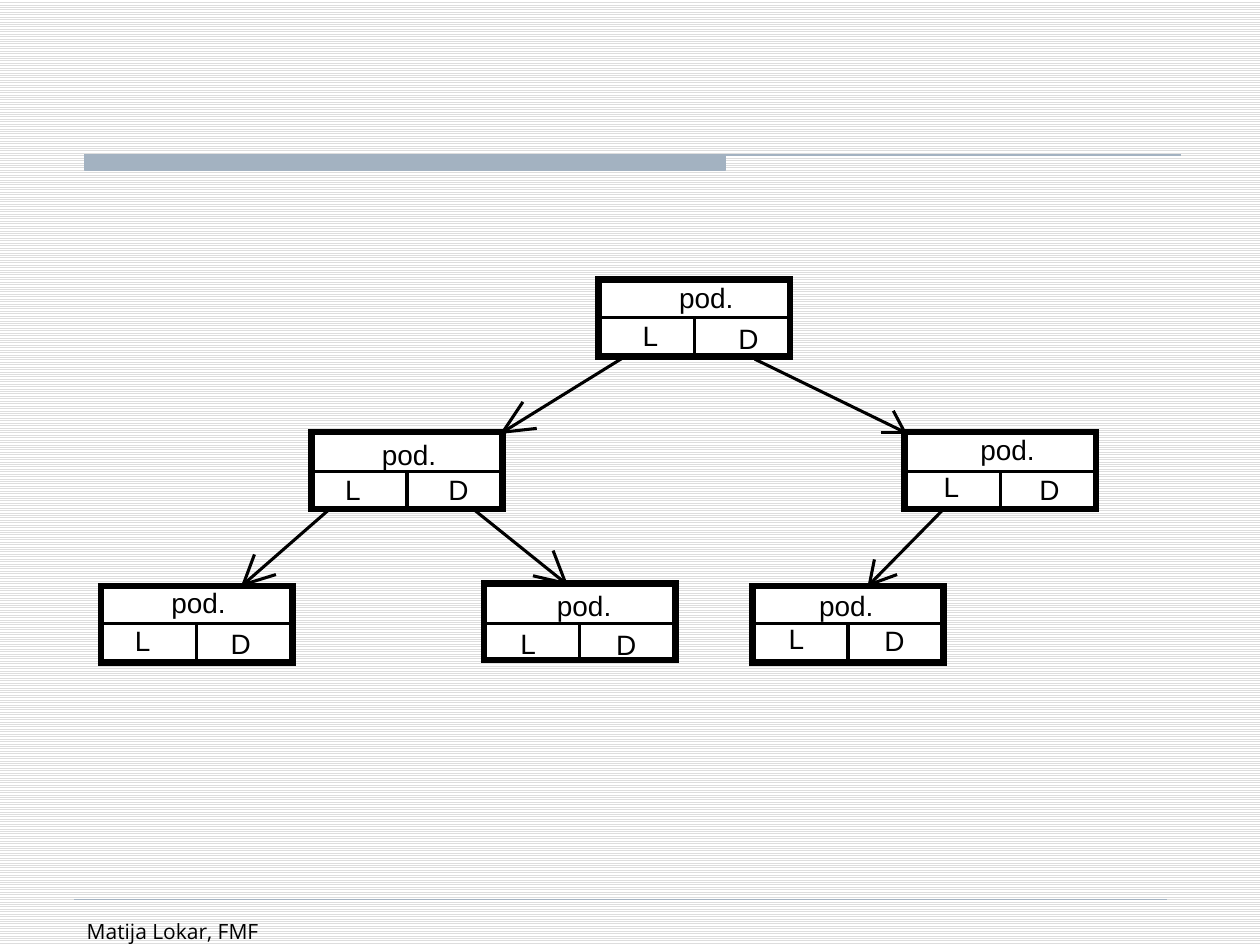
"""Build a slide with a binary tree of linked nodes."""
from lxml import etree
from pptx import Presentation
from pptx.dml.color import RGBColor
from pptx.enum.dml import MSO_PATTERN
from pptx.enum.shapes import MSO_CONNECTOR, MSO_SHAPE
from pptx.enum.text import MSO_AUTO_SIZE
from pptx.util import Inches, Pt

STRAIGHT = MSO_CONNECTOR.STRAIGHT
RECTANGLE = MSO_SHAPE.RECTANGLE
LIGHT_HORIZONTAL = MSO_PATTERN.LIGHT_HORIZONTAL
FIT_TEXT = MSO_AUTO_SIZE.SHAPE_TO_FIT_TEXT
DRAWING = "http://schemas.openxmlformats.org/drawingml/2006/main"
BLACK, WHITE, ACCENT = "000000", "FFFFFF", "A3B2C1"
NODE_WIDTH, NODE_HEIGHT = 1.52, 0.61

deck = Presentation()
deck.slide_width, deck.slide_height = Inches(10), Inches(7.5)
page = deck.slides.add_slide(deck.slide_layouts[6])
background = page.background.fill
background.patterned()
background.pattern = LIGHT_HORIZONTAL
background.fore_color.rgb = RGBColor.from_string("DDDDDD")
background.back_color.rgb = RGBColor.from_string(WHITE)


def add_line(start, end, color=BLACK, width=1.75):
    line = page.shapes.add_connector(STRAIGHT, *map(Inches, start + end))
    line.line.color.rgb = RGBColor.from_string(color)
    line.line.width = Pt(width)
    etree.SubElement(line._element.spPr, f"{{{DRAWING}}}effectLst")


def add_text(text, left, top, width, height, size, font):
    box = page.shapes.add_textbox(*map(Inches, (left, top, width, height)))
    frame = box.text_frame
    frame.text = text
    span = frame.paragraphs[0].runs[0]
    span.font.size = Pt(size)
    span.font.name = font
    span.font.color.rgb = RGBColor.from_string(BLACK)
    return frame


outline = page.shapes.build_freeform(Inches(0.67), Inches(1.23))
bar_corners = [(5.76, 1.23), (5.76, 1.35), (0.67, 1.35)]
outline.add_line_segments([(Inches(x), Inches(y)) for x, y in bar_corners])
outline.move_to(Inches(0.67), Inches(1.23))
outline.add_line_segments([(Inches(9.37), Inches(1.23))], close=False)
title_bar = outline.convert_to_shape()
title_bar.shadow.inherit = False
title_bar.fill.solid()
title_bar.fill.fore_color.rgb = RGBColor.from_string(ACCENT)
title_bar.line.color.rgb = RGBColor.from_string(ACCENT)
title_bar.line.width = Pt(0.75)
add_line((0.59, 7.14), (9.26, 7.14), ACCENT, 0.25)
footer = add_text("Matija Lokar, FMF", 0.59, 7.24, 2.17, 0.52, 12, "Open Sans")
footer.word_wrap = True

arrows = [
    ((4.96, 2.83), (3.99, 3.43), (4.15, 3.19), (4.26, 3.40)),
    ((5.99, 2.85), (7.18, 3.43), (7.09, 3.26), (6.99, 3.43)),
    ((2.64, 4.02), (1.93, 4.64), (2.02, 4.40), (2.19, 4.56)),
    ((3.73, 4.02), (4.49, 4.63), (4.39, 4.37), (4.23, 4.57)),
    ((7.49, 4.04), (6.90, 4.64), (6.94, 4.44), (7.12, 4.56)),
]
for tail, tip, *barbs in arrows:
    for end in (tail, *barbs):
        add_line(end, tip)

nodes = [
    (4.75, 2.22, 2.52, (5.39, 2.23), (5.10, 2.53), (5.86, 2.55)),
    (2.47, 3.43, 3.74, (3.03, 3.47), (2.74, 3.75), (3.56, 3.75)),
    (7.18, 3.43, 3.74, (7.78, 3.43), (7.49, 3.73), (8.25, 3.75)),
    (0.80, 4.65, 4.95, (1.36, 4.65), (1.07, 4.95), (1.83, 4.97)),
    (3.84, 4.63, 4.95, (4.42, 4.67), (4.13, 4.97), (4.89, 4.98)),
    (5.97, 4.65, 4.95, (6.50, 4.67), (6.26, 4.93), (7.02, 4.95)),
]
labels = [("pod.", 0.45), ("L", 0.13), ("D", 0.17)]
for left, top, divider, *places in nodes:
    node = page.shapes.add_shape(
        RECTANGLE, *map(Inches, (left, top, NODE_WIDTH, NODE_HEIGHT)))
    node.shadow.inherit = False
    node.fill.solid()
    node.fill.fore_color.rgb = RGBColor.from_string(WHITE)
    node.line.color.rgb = RGBColor.from_string(BLACK)
    node.line.width = Pt(3.75)
    etree.SubElement(node.line._ln, f"{{{DRAWING}}}miter", lim="800000")
    middle = left + NODE_WIDTH / 2
    add_line((left, divider), (left + NODE_WIDTH, divider))
    add_line((middle, divider), (middle, top + NODE_HEIGHT))
    for (text, width), place in zip(labels, places):
        frame = add_text(text, *place, width, 0.27, 16, "Arial")
        frame.margin_left = frame.margin_right = 0
        frame.margin_top = frame.margin_bottom = 0
        frame.word_wrap = False
        frame.auto_size = FIT_TEXT

deck.save("out.pptx")
